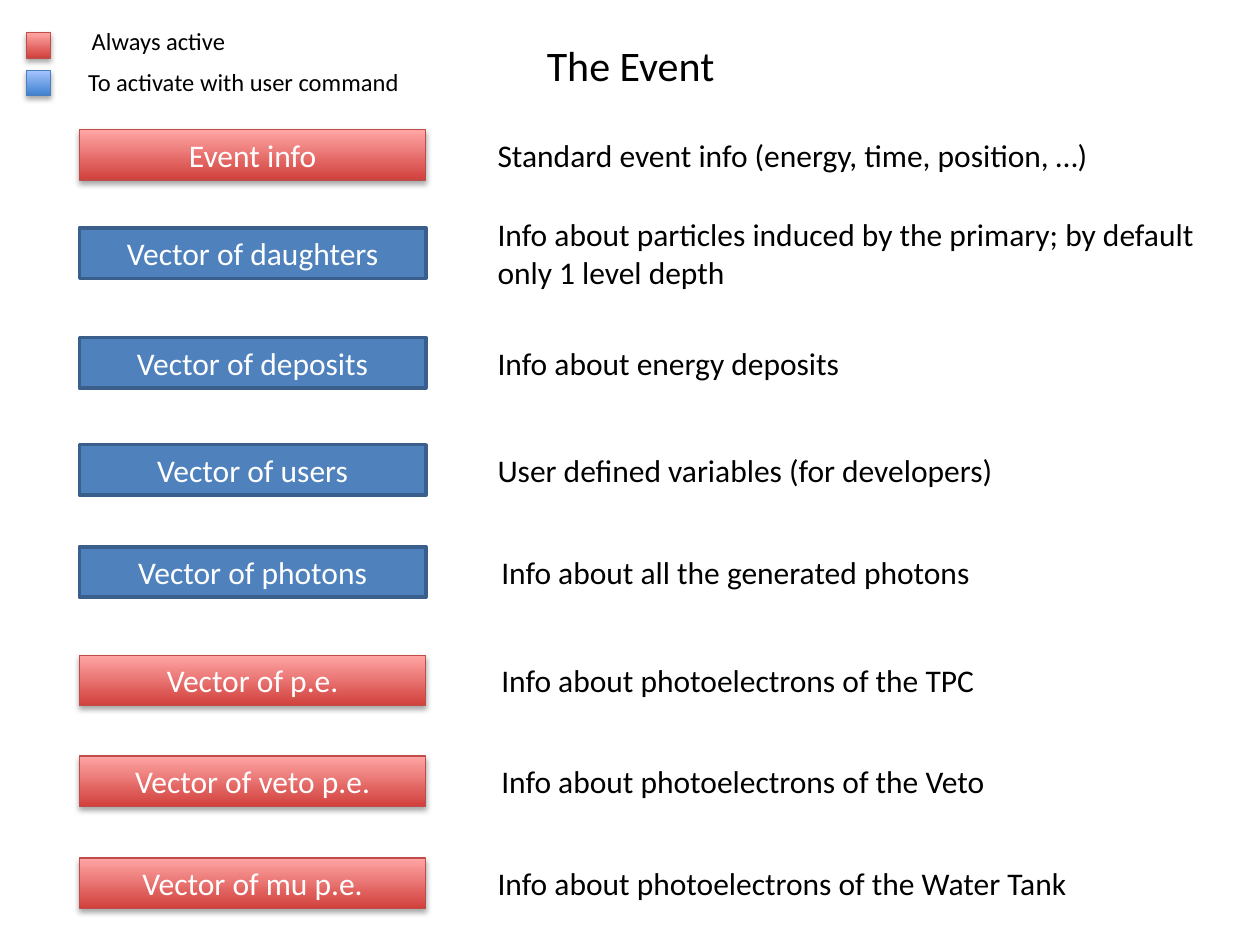
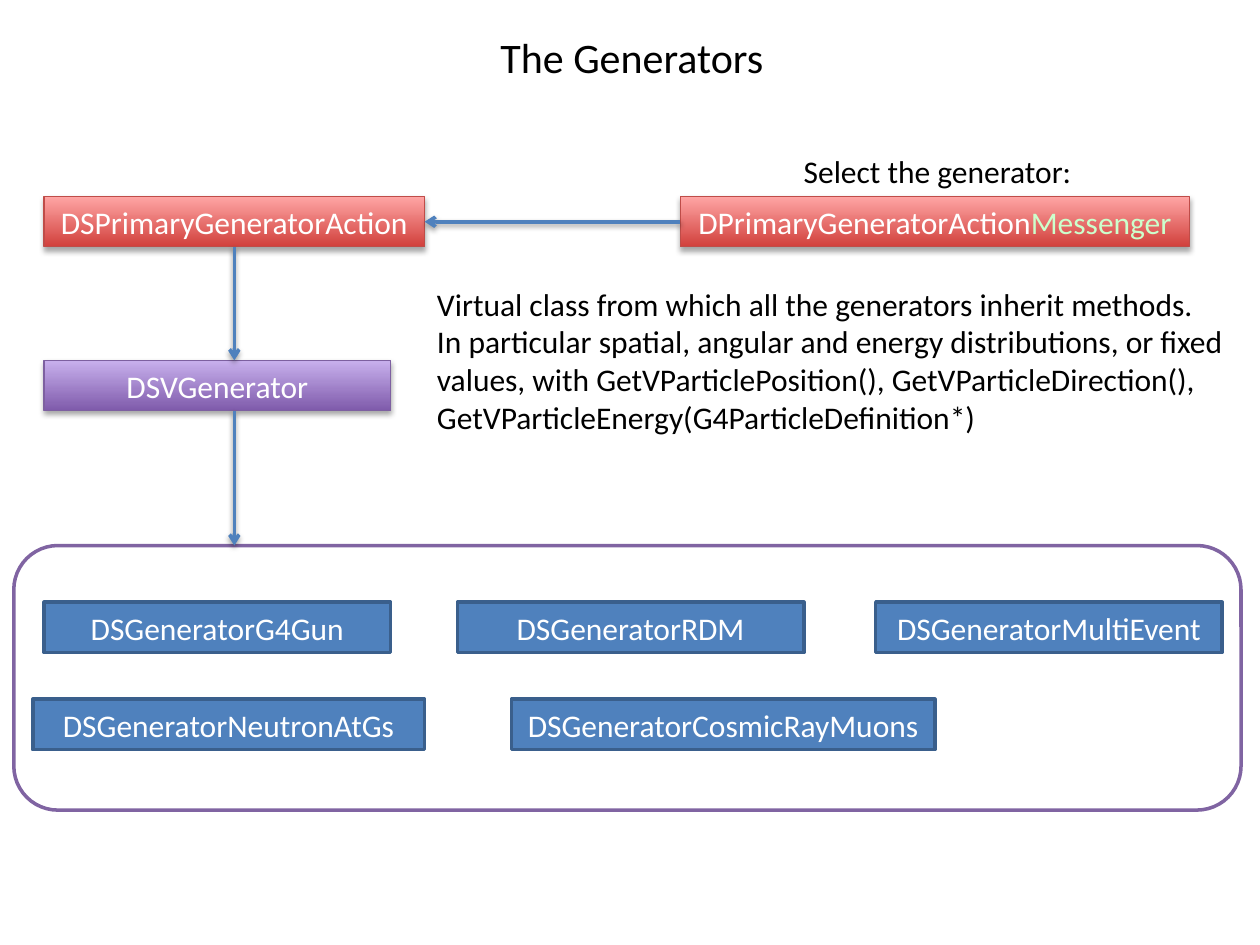
from collections import namedtuple

from lxml.etree import SubElement
from pptx import Presentation
from pptx.dml.color import RGBColor
from pptx.enum.shapes import MSO_CONNECTOR, MSO_SHAPE
from pptx.enum.text import MSO_ANCHOR, PP_ALIGN
from pptx.oxml.ns import qn
from pptx.util import Inches, Pt

Style = namedtuple("Style", "dark light line line_width")

BLACK = RGBColor(0x00, 0x00, 0x00)
WHITE = RGBColor(0xFF, 0xFF, 0xFF)
PALE_GREEN = RGBColor(0xCC, 0xFF, 0xCC)
BLUE = RGBColor(0x4F, 0x81, 0xBD)
PURPLE = RGBColor(0x80, 0x64, 0xA2)

# A style without a light colour is a flat fill without shadow.
RED_GLOSS = Style(RGBColor(0xD1, 0x40, 0x3C), RGBColor(0xFF, 0xA6, 0xA5),
                  RGBColor(0xBF, 0x4C, 0x48), 0.75)
BLUE_GLOSS = Style(RGBColor(0x3F, 0x80, 0xCE), RGBColor(0xA4, 0xC4, 0xFF),
                   RGBColor(0x4B, 0x7E, 0xBC), 0.75)
PURPLE_GLOSS = Style(RGBColor(0x7F, 0x5B, 0xAB), RGBColor(0xC8, 0xB0, 0xED),
                     RGBColor(0x7D, 0x60, 0xA0), 0.75)
BLUE_FLAT = Style(BLUE, None, RGBColor(0x3A, 0x5F, 0x8C), 2)

FONT = "Calibri"
TITLE_SIZE, BODY_SIZE, LEGEND_SIZE = 24, 18, 14
BOX_WIDTH, BOX_HEIGHT = 2.75, 0.4
TITLE_ONLY_LAYOUT = 5

# top, name, style, description left, description, description height
EVENT_ROWS = [
    (1.03, "Event info", RED_GLOSS, 3.85,
     "Standard event info (energy, time, position, …)", 0.4),
    (1.81, "Vector of daughters", BLUE_FLAT, 3.85,
     "Info about particles induced by the primary; by default only 1 level depth", 0.71),
    (2.68, "Vector of deposits", BLUE_FLAT, 3.85, "Info about energy deposits", 0.4),
    (3.53, "Vector of users", BLUE_FLAT, 3.85,
     "User defined variables (for developers)", 0.4),
    (4.34, "Vector of photons", BLUE_FLAT, 3.88,
     "Info about all the generated photons", 0.4),
    (5.2, "Vector of p.e.", RED_GLOSS, 3.88, "Info about photoelectrons of the TPC", 0.4),
    (6, "Vector of veto p.e.", RED_GLOSS, 3.88,
     "Info about photoelectrons of the Veto", 0.4),
    (6.81, "Vector of mu p.e.", RED_GLOSS, 3.85,
     "Info about photoelectrons of the Water Tank", 0.4),
]

# left and top inside the frame, width, name
GENERATORS = [
    (0.24, 0.45, BOX_WIDTH, "DSGeneratorG4Gun"),
    (3.52, 0.45, BOX_WIDTH, "DSGeneratorRDM"),
    (6.84, 0.45, BOX_WIDTH, "DSGeneratorMultiEvent"),
    (0.15, 1.22, 3.11, "DSGeneratorNeutronAtGs"),
    (3.95, 1.22, 3.36, "DSGeneratorCosmicRayMuons"),
]


def format_paragraph(paragraph, size, color, align):
    paragraph.alignment = align
    paragraph.font.name = FONT
    paragraph.font.size = Pt(size)
    paragraph.font.color.rgb = color


def add_shadow(shape, distance, opacity):
    """Cast a soft black shadow straight down; call after fill and line are set."""
    effects = SubElement(shape.element.spPr, qn("a:effectLst"))
    shadow = SubElement(effects, qn("a:outerShdw"), blurRad=str(Pt(3.1)),
                        dist=str(Pt(distance)), dir="5400000", rotWithShape="0")
    black = SubElement(shadow, qn("a:srgbClr"), val="000000")
    SubElement(black, qn("a:alpha"), val=str(opacity * 1000))


def add_styled_shape(slide, kind, left, top, width, height, style):
    shape = slide.shapes.add_shape(kind, Inches(left), Inches(top),
                                   Inches(width), Inches(height))
    shape.line.color.rgb = style.line
    shape.line.width = Pt(style.line_width)
    if style.light is None:
        shape.fill.solid()
        shape.fill.fore_color.rgb = style.dark
        shape.shadow.inherit = False
    else:
        shape.fill.gradient()
        shape.fill.gradient_angle = 90
        for stop, color in zip(shape.fill.gradient_stops, (style.dark, style.light)):
            stop.color.rgb = color
        add_shadow(shape, 1.8, 35)
    return shape


def add_box(slide, left, top, text, style, width=BOX_WIDTH):
    box = add_styled_shape(slide, MSO_SHAPE.RECTANGLE, left, top, width, BOX_HEIGHT, style)
    box.text_frame.text = text
    format_paragraph(box.text_frame.paragraphs[0], BODY_SIZE, WHITE, PP_ALIGN.CENTER)
    return box


def add_text(slide, left, top, width, height, lines, size=BODY_SIZE, wrap=True):
    frame = slide.shapes.add_textbox(Inches(left), Inches(top), Inches(width),
                                     Inches(height)).text_frame
    frame.word_wrap = wrap
    frame.text = "\n".join(lines)
    for paragraph in frame.paragraphs:
        format_paragraph(paragraph, size, BLACK, PP_ALIGN.LEFT)


def add_arrow(slide, start, end):
    points = [Inches(value) for value in (*start, *end)]
    arrow = slide.shapes.add_connector(MSO_CONNECTOR.STRAIGHT, *points)
    arrow.line.color.rgb = BLUE
    arrow.line.width = Pt(2)
    SubElement(arrow.element.spPr.find(qn("a:ln")), qn("a:tailEnd"), type="arrow")
    add_shadow(arrow, 1.6, 38)


def add_titled_slide(presentation, text, left, top, width):
    slide = presentation.slides.add_slide(presentation.slide_layouts[TITLE_ONLY_LAYOUT])
    title = slide.shapes.title
    title.left, title.top = Inches(left), Inches(top)
    title.width, title.height = Inches(width), Inches(0.5)
    title.text_frame.text = text
    title.text_frame.word_wrap = False
    title.text_frame.vertical_anchor = MSO_ANCHOR.TOP
    format_paragraph(title.text_frame.paragraphs[0], TITLE_SIZE, BLACK, PP_ALIGN.CENTER)
    return slide


def add_legend(slide, left, top):
    entries = [(RED_GLOSS, 0.1, 0.42, 0, 1.6, "Always active"),
               (BLUE_GLOSS, 0.4, 0.39, 0.32, 3.59, "To activate with user command")]
    for style, key_top, text_left, text_top, width, text in entries:
        add_styled_shape(slide, MSO_SHAPE.ACTION_BUTTON_CUSTOM, left, top + key_top,
                         0.19, 0.2, style)
        add_text(slide, left + text_left, top + text_top, width, 0.34, [text], LEGEND_SIZE)


def add_event_rows(slide, left):
    for top, name, style, text_left, description, height in EVENT_ROWS:
        add_box(slide, left, top, name, style)
        text_top = top + (BOX_HEIGHT - height) / 2
        add_text(slide, text_left, text_top, 6.15, height, [description])


def add_class_chain(slide, left, top):
    """Draw the action, its messenger and the virtual generator below."""
    action_width, messenger_left, base_top = 3.02, left + 5.05, top + 1.3
    middle, arrow_left = top + BOX_HEIGHT / 2, left + action_width / 2
    add_box(slide, left, top, "DSPrimaryGeneratorAction", RED_GLOSS, action_width)
    messenger = add_box(slide, messenger_left, top, "DPrimaryGeneratorAction",
                        RED_GLOSS, 4.04)
    suffix = messenger.text_frame.paragraphs[0].add_run()
    suffix.text = "Messenger"
    suffix.font.color.rgb = PALE_GREEN
    add_box(slide, left, base_top, "DSVGenerator", PURPLE_GLOSS)

    add_text(slide, messenger_left + 0.88, top - 0.4, 2.35, 0.4,
             ["Select the generator:"], wrap=False)
    add_text(slide, left + action_width, top + 0.65, 6.63, 1.31, [
        "Virtual class from which all the generators inherit methods.",
        "In particular spatial, angular and energy distributions, or fixed values, "
        "with GetVParticlePosition(), GetVParticleDirection(),",
        "GetVParticleEnergy(G4ParticleDefinition*)",
    ])
    add_arrow(slide, (messenger_left, middle), (left + action_width, middle))
    add_arrow(slide, (arrow_left, top + BOX_HEIGHT), (arrow_left, base_top))
    add_arrow(slide, (arrow_left, base_top + BOX_HEIGHT), (arrow_left, top + 2.77))


def add_generator_frame(slide, left, top, width, height):
    frame = slide.shapes.add_shape(MSO_SHAPE.ROUNDED_RECTANGLE, Inches(left), Inches(top),
                                   Inches(width), Inches(height))
    frame.fill.background()
    frame.line.color.rgb = PURPLE
    frame.line.width = Pt(2)
    frame.shadow.inherit = False
    for box_left, box_top, box_width, name in GENERATORS:
        add_box(slide, left + box_left, top + box_top, name, BLUE_FLAT, box_width)


def build_event_slide(presentation):
    slide = add_titled_slide(presentation, "The Event", 4.23, 0.26, 1.55)
    add_legend(slide, 0.21, 0.16)
    add_event_rows(slide, 0.63)


def build_generators_slide(presentation):
    slide = add_titled_slide(presentation, "The Generators", 3.86, 0.2, 2.31)
    add_generator_frame(slide, 0.11, 4.33, 9.74, 2.1)
    add_class_chain(slide, 0.35, 1.56)


def main():
    presentation = Presentation()
    presentation.slide_width, presentation.slide_height = Inches(10), Inches(7.5)
    build_event_slide(presentation)
    build_generators_slide(presentation)
    presentation.save("out.pptx")


if __name__ == "__main__":
    main()
